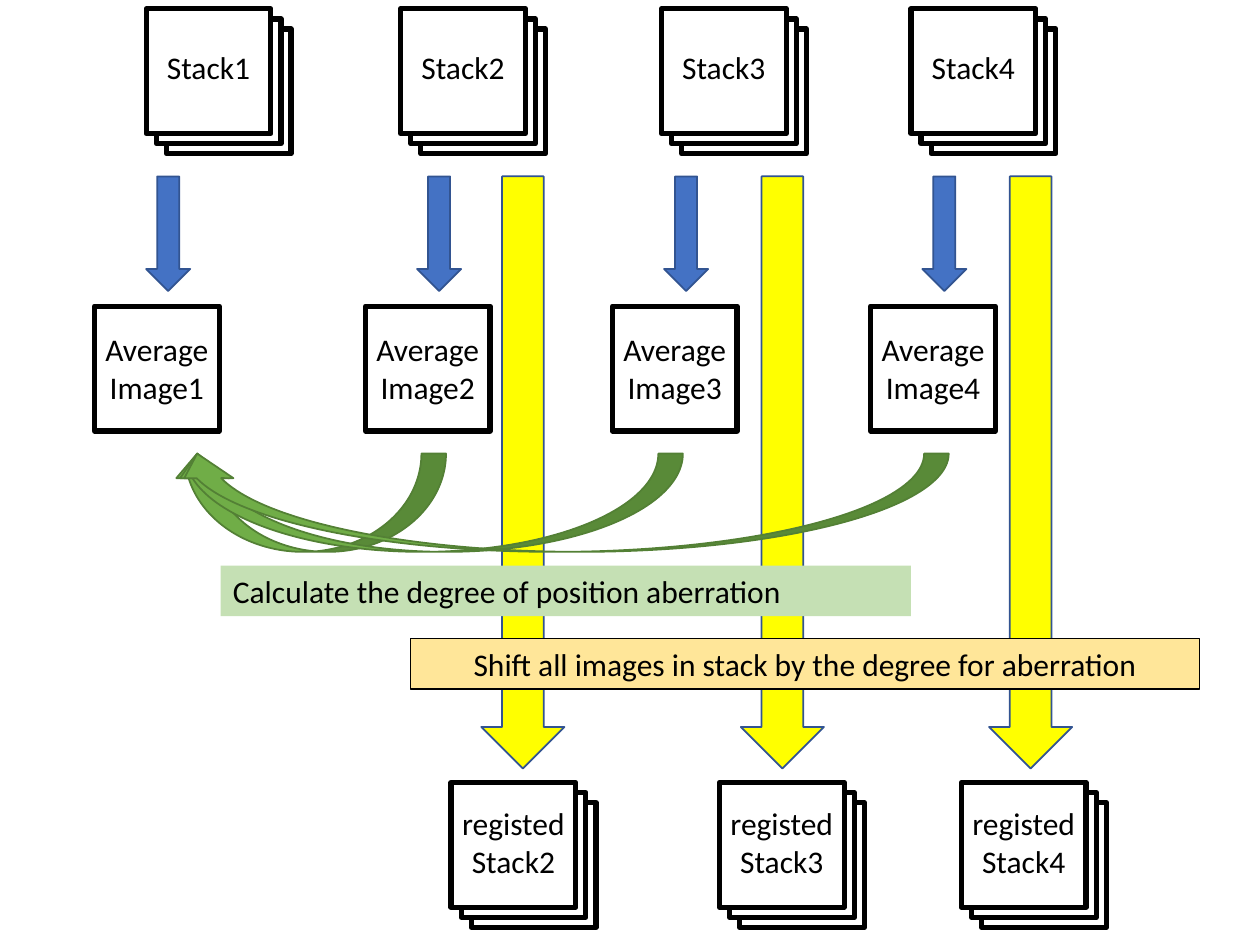
from pptx import Presentation
from pptx.dml.color import RGBColor
from pptx.enum.shapes import MSO_SHAPE
from pptx.enum.text import MSO_AUTO_SIZE, PP_ALIGN
from pptx.util import Inches, Pt

BLACK, WHITE = "000000", "FFFFFF"
BLUE, BLUE_EDGE, YELLOW = "4472C4", "325491", "FFFF00"
GREEN, GREEN_EDGE = "70AD47", "538035"
CARD_SIZE = 0.99
CARD_OFFSET = 0.08


def color(value):
    """Turn a hex string into a colour."""
    return RGBColor.from_string(value)


def add_box(shapes, kind, box, fill, line=None, width=1):
    """Add a filled preset shape in box (left, top, width, height)."""
    shape = shapes.add_shape(kind, *map(Inches, box))
    shape.shadow.inherit = False
    shape.fill.solid()
    shape.fill.fore_color.rgb = color(fill)
    if line:
        shape.line.color.rgb = color(line)
        shape.line.width = Pt(width)
    else:
        shape.line.fill.background()
    return shape


def write_lines(shape, lines, alignment=PP_ALIGN.CENTER):
    """Write each line as a paragraph of 18 point black text."""
    frame = shape.text_frame
    frame.word_wrap = True
    frame.auto_size = MSO_AUTO_SIZE.SHAPE_TO_FIT_TEXT
    for index, line in enumerate(lines):
        paragraph = frame.add_paragraph() if index else frame.paragraphs[0]
        paragraph.alignment = alignment
        run = paragraph.add_run()
        run.text = line
        run.font.name = "Calibri"
        run.font.size = Pt(18)
        run.font.color.rgb = color(BLACK)


def add_caption(shapes, box, lines):
    """Add a centred text box."""
    write_lines(shapes.add_textbox(*map(Inches, box)), lines)


def add_card(shapes, left, top):
    """Add one square image card."""
    box = (left, top, CARD_SIZE, CARD_SIZE)
    add_box(shapes, MSO_SHAPE.RECTANGLE, box, WHITE, BLACK, 3)


def add_stack(slide, left, top, lines, caption_drop):
    """Add three overlapping cards, with the caption on the front one."""
    shapes = slide.shapes.add_group_shape().shapes
    for depth in (2, 1, 0):
        add_card(shapes, left + depth * CARD_OFFSET, top + depth * CARD_OFFSET)
    height = 0.4 if len(lines) == 1 else 0.71
    add_caption(shapes, (left - 0.04, top + caption_drop, 1.07, height), lines)


def add_average(slide, left, top, arrow_shift, number):
    """Add a blue arrow and the average image below it."""
    shapes = slide.shapes.add_group_shape().shapes
    arrow_box = (left + arrow_shift, top, 0.35, 0.91)
    add_box(shapes, MSO_SHAPE.DOWN_ARROW, arrow_box, BLUE, BLUE_EDGE)
    add_card(shapes, left, top + 1.03)
    add_caption(shapes, (left - 0.09, top + 1.17, 1.17, 0.71),
                ["Average", f"Image{number}"])


def add_comparison(slide, left, top, widths):
    """Add green arrows back to the first image, and their label."""
    shapes = slide.shapes.add_group_shape().shapes
    for width in widths:
        arrow = add_box(shapes, MSO_SHAPE.CURVED_UP_ARROW,
                        (left, top, width, 0.78), GREEN, GREEN_EDGE)
        arrow.element.spPr.xfrm.set("flipH", "1")
    label = add_box(shapes, MSO_SHAPE.RECTANGLE,
                    (left + 0.38, top + 0.89, 5.48, 0.4), "C5E0B4")
    write_lines(label, ["Calculate the degree of position aberration"],
                PP_ALIGN.LEFT)


def add_shift(slide, left, top):
    """Add the label of the shift step."""
    label = add_box(slide.shapes, MSO_SHAPE.RECTANGLE,
                    (left, top, 6.26, 0.4), "FFE699", BLACK, 0.75)
    write_lines(label, ["Shift all images in stack by the degree for aberration"])


def build_slide(presentation):
    """Place the four columns and the steps that join them."""
    slide = presentation.slides.add_slide(presentation.slide_layouts[6])
    for left in (3.82, 5.88, 7.85):
        add_box(slide.shapes, MSO_SHAPE.DOWN_ARROW, (left, 1.4, 0.66, 4.7),
                YELLOW, BLUE_EDGE)
    for number, left in enumerate((1.16, 3.18, 5.25, 7.23), 1):
        add_stack(slide, left, 0.07, [f"Stack{number}"], 0.26)
    for number, left in enumerate((0.75, 2.9, 4.86, 6.91), 1):
        add_average(slide, left, 1.4, 0.41, number)
    add_comparison(slide, 1.37, 3.6, (2.17, 4.05, 6.16))
    add_shift(slide, 3.26, 5.07)
    for number, left in enumerate((3.58, 5.71, 7.63), 2):
        add_stack(slide, left, 6.21, ["registed", f"Stack{number}"], 0.12)


presentation = Presentation()
presentation.slide_width = Inches(10)
presentation.slide_height = Inches(7.5)
build_slide(presentation)
presentation.save("out.pptx")
